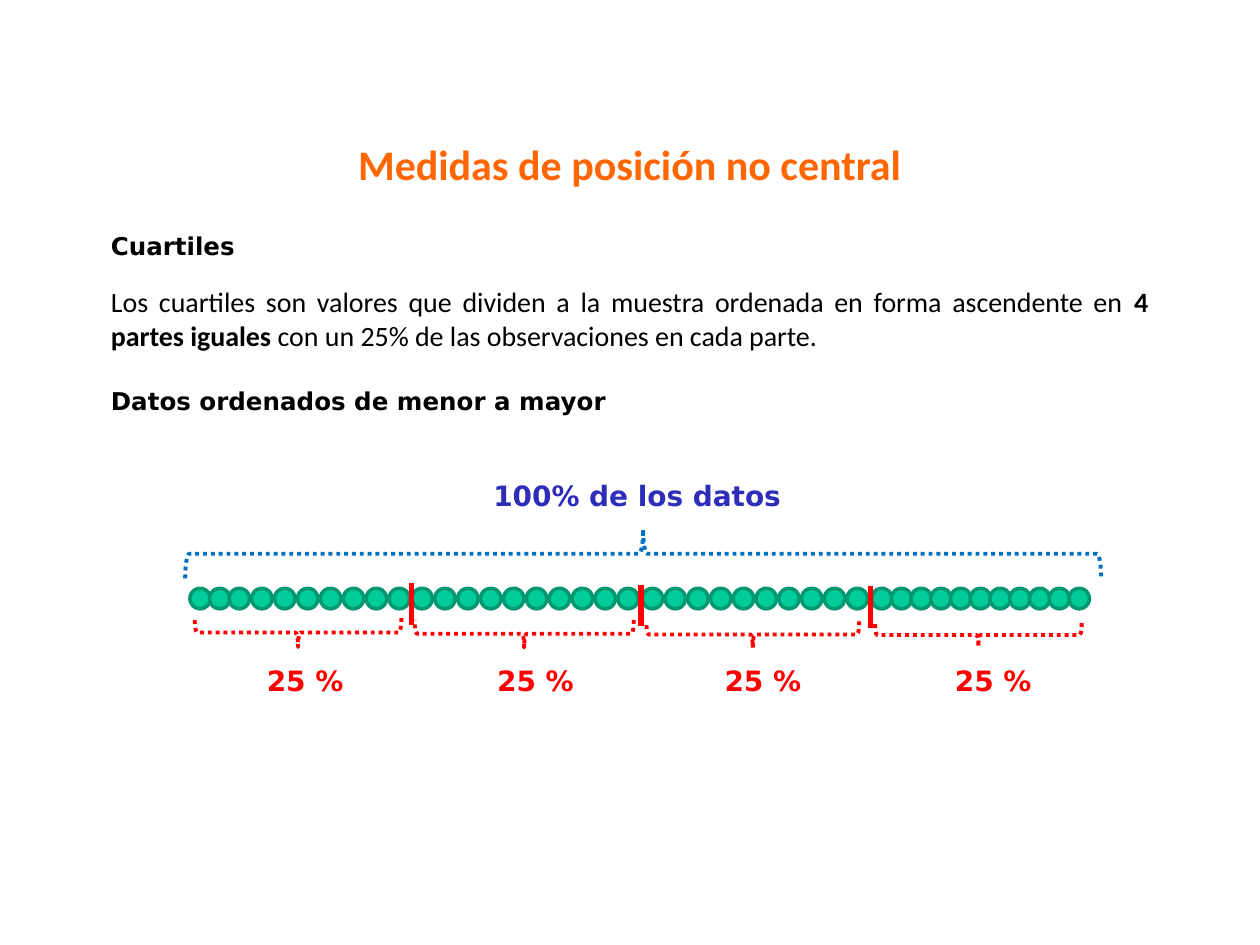
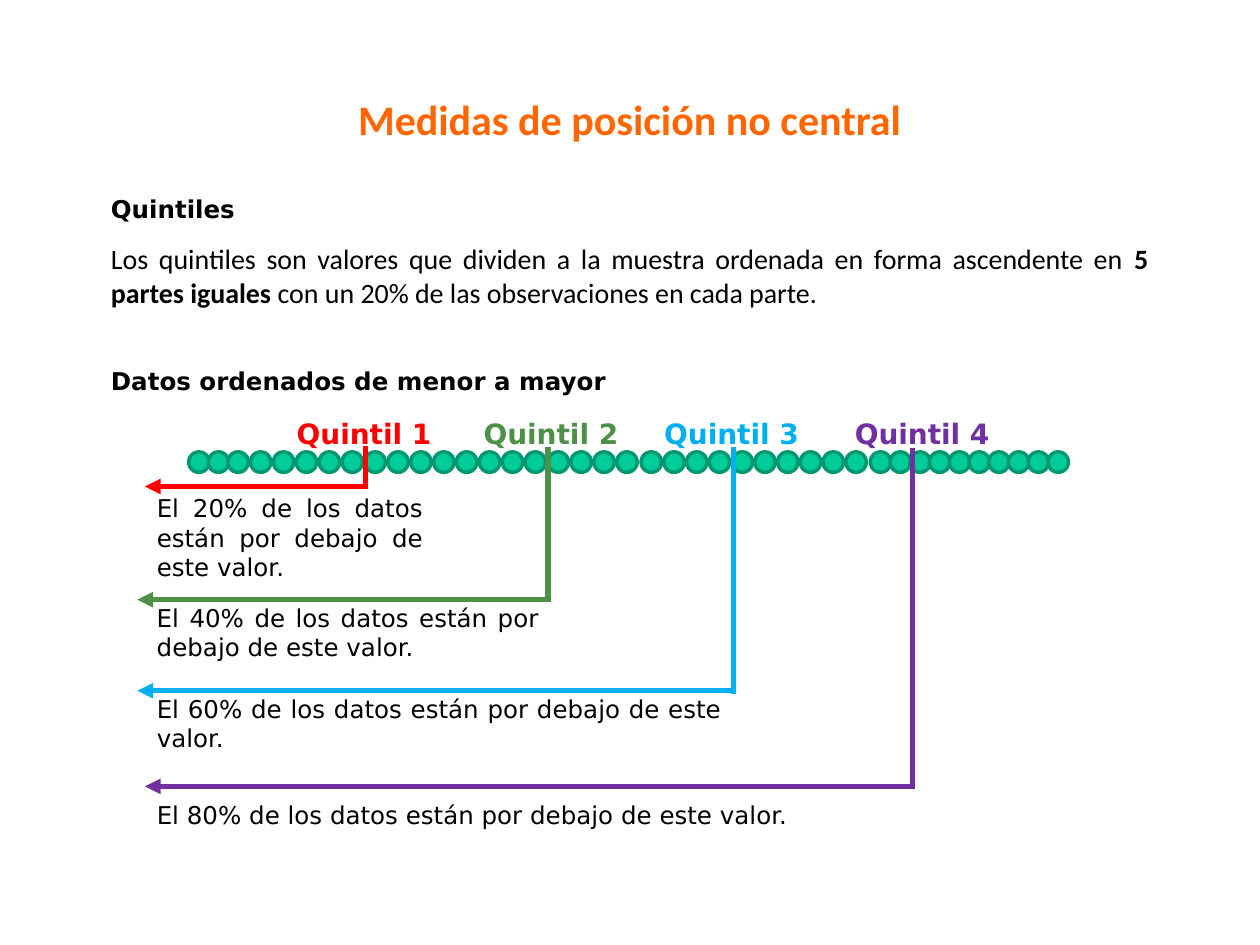
from lxml.etree import SubElement
from pptx import Presentation
from pptx.dml.color import RGBColor
from pptx.enum.dml import MSO_LINE
from pptx.enum.shapes import MSO_CONNECTOR, MSO_SHAPE
from pptx.enum.text import MSO_ANCHOR, MSO_AUTO_SIZE, PP_ALIGN
from pptx.oxml.ns import qn
from pptx.util import Pt

ORANGE = RGBColor(0xFF, 0x66, 0x00)
BLACK = RGBColor(0x00, 0x00, 0x00)
RED = RGBColor(0xFF, 0x00, 0x00)
GREEN = RGBColor(0x4D, 0x90, 0x47)
SKY = RGBColor(0x00, 0xB0, 0xF0)
PURPLE = RGBColor(0x70, 0x30, 0xA0)
BLUE = RGBColor(0x00, 0x70, 0xC0)
INDIGO = RGBColor(0x2D, 0x2D, 0xB9)
DOT_FILL = RGBColor(0x00, 0xCC, 0x99)
DOT_LINE = RGBColor(0x00, 0x97, 0x71)
TITLE_FONT = "Calibri"
LABEL_FONT = "DejaVu Sans"
MARGIN, CONTENT_WIDTH = 56.3, 607
DOT_SIZE = 11.7


def add_text(page, left, top, width, height, parts, size=14, color=BLACK,
             bold=None, font=LABEL_FONT, align=PP_ALIGN.LEFT, wrap=False):
    """Add a one-paragraph text box; every second part is bold."""
    box = page.shapes.add_textbox(Pt(left), Pt(top), Pt(width), Pt(height))
    box.text_frame.word_wrap = wrap
    para = box.text_frame.paragraphs[0]
    para.alignment = align
    para.font.name = font
    para.font.size = Pt(size)
    para.font.color.rgb = color
    para.font.bold = bold
    for index, text in enumerate(parts):
        span = para.add_run()
        span.text = text
        if index % 2:
            span.font.bold = True


def add_line(page, x1, y1, x2, y2, color, arrow=False):
    line = page.shapes.add_connector(
        MSO_CONNECTOR.STRAIGHT, Pt(x1), Pt(y1), Pt(x2), Pt(y2))
    line.line.color.rgb = color
    line.line.width = Pt(3)
    if arrow:
        outline = line._element.spPr.find(qn("a:ln"))
        SubElement(outline, qn("a:tailEnd"), type="triangle")
    SubElement(line._element.spPr, qn("a:effectLst"))


deck = Presentation()
deck.slide_width, deck.slide_height = Pt(720), Pt(540)

# Shared parts: title, definition, headings and the row of data dots
topics = [
    dict(name="Cuartiles", parts=4, share=25, title_top=75.6, name_top=128.6,
         text_top=159.1, order_top=217, dots_left=108.5, dots_top=336.2,
         last_run=11),
    dict(name="Quintiles", parts=5, share=20, title_top=49.7, name_top=107.3,
         text_top=134.6, order_top=205.9, dots_left=107.8, dots_top=258.2,
         last_run=10),
]
pages = []
for topic in topics:
    page = deck.slides.add_slide(deck.slide_layouts[5])
    pages.append(page)

    title = page.shapes.title
    title.left, title.top = Pt(MARGIN), Pt(topic["title_top"])
    title.width, title.height = Pt(CONTENT_WIDTH), Pt(36.3)
    frame = title.text_frame
    frame.text = "Medidas de posición no central"
    frame.auto_size = MSO_AUTO_SIZE.NONE
    frame.vertical_anchor = MSO_ANCHOR.TOP
    para = frame.paragraphs[0]
    para.alignment = PP_ALIGN.CENTER
    para.font.name = TITLE_FONT
    para.font.size = Pt(24)
    para.font.bold = True
    para.font.color.rgb = ORANGE

    add_text(page, MARGIN, topic["name_top"], 100, 24.2, [topic["name"]], bold=True)
    definition = [
        f"Los {topic['name'].lower()} son valores que dividen a la muestra "
        "ordenada en forma ascendente en ",
        f"{topic['parts']} partes iguales",
        f" con un {topic['share']}% de las observaciones en cada parte.",
    ]
    add_text(page, MARGIN, topic["text_top"], CONTENT_WIDTH, 46, definition,
             size=16, font=TITLE_FONT, align=PP_ALIGN.JUSTIFY, wrap=True)
    add_text(page, MARGIN, topic["order_top"], 310, 24.2,
             ["Datos ordenados de menor a mayor"], bold=True)

    dot_runs = [(0, 11.2, 3), (35.3, 13.08, 17), (258.5, 13, 10),
                (389.5, 11.28, topic["last_run"])]
    for start, step, count in dot_runs:
        for index in range(count):
            dot = page.shapes.add_shape(
                MSO_SHAPE.OVAL, Pt(topic["dots_left"] + start + index * step),
                Pt(topic["dots_top"]), Pt(DOT_SIZE), Pt(DOT_SIZE))
            dot.shadow.inherit = False
            dot.fill.solid()
            dot.fill.fore_color.rgb = DOT_FILL
            dot.line.color.rgb = DOT_LINE
            dot.line.width = Pt(2)

quartile_page, quintile_page = pages

# Quartiles: cuts, braces and percentages
for x, top in [(235.2, 333.4), (366.3, 334.1), (497.5, 334.8)]:
    add_line(quartile_page, x, top, x, top + 23.8, RED)

braces = [
    (353.5, 54.7, 28.1, 523.4, 270, BLUE),
    (162, 302.4, 16.6, 118.1, 90, RED),
    (291.6, 299.5, 15.8, 125.3, 90, RED),
    (422.6, 301.7, 15.1, 121.7, 90, RED),
    (552.2, 303.8, 13.7, 118.1, 90, RED),
]
for left, top, width, height, rotation, color in braces:
    brace = quartile_page.shapes.add_shape(
        MSO_SHAPE.RIGHT_BRACE, Pt(left), Pt(top), Pt(width), Pt(height))
    brace.rotation = rotation
    brace.shadow.inherit = False
    brace.fill.background()
    brace.line.color.rgb = color
    brace.line.width = Pt(2.25)
    brace.line.dash_style = MSO_LINE.ROUND_DOT

add_text(quartile_page, 274.8, 270, 190, 26.6, ["100% de los datos"],
         size=16, color=INDIGO, bold=True)
for left in [145.4, 277, 406.9, 538.6]:
    add_text(quartile_page, left, 375.8, 68, 26.6, ["25 %"],
             size=16, color=RED, bold=True)

# Quintiles: cut line, arrow, explanation and label for each
# color, cut x, cut top, cut bottom, arrow start, arrow end, arrow y,
# text top, text width, text height, label left
quintiles = [
    (RED, 208.8, 254.9, 278.6, 210.2, 82.8, 278, 278.4, 166.3, 58.3, 162.5),
    (GREEN, 313.2, 255.6, 342.7, 314.6, 78.5, 342.7, 340.8, 232.6, 41, 269.3),
    (SKY, 419, 255.6, 396.7, 419, 78.5, 394.7, 393, 337, 41, 372.5),
    (PURPLE, 521.3, 256.3, 450.7, 522.7, 82.8, 449.4, 453.6, 438.5, 24.2, 481.4),
]
for number, (color, x, top, bottom, start, end, arrow_y,
             text_top, text_width, text_height, label_left) in enumerate(quintiles, 1):
    add_line(quintile_page, x, top, x, bottom, color)
    add_line(quintile_page, start, arrow_y, end, arrow_y, color, arrow=True)
    add_text(quintile_page, 82.5, text_top, text_width, text_height,
             [f"El {number * 20}% de los datos están por debajo de este valor."],
             align=PP_ALIGN.JUSTIFY, wrap=True)
    add_text(quintile_page, label_left, 234.7, 97, 26.6, [f"Quintil {number}"],
             size=16, color=color, bold=True)

deck.save("out.pptx")
